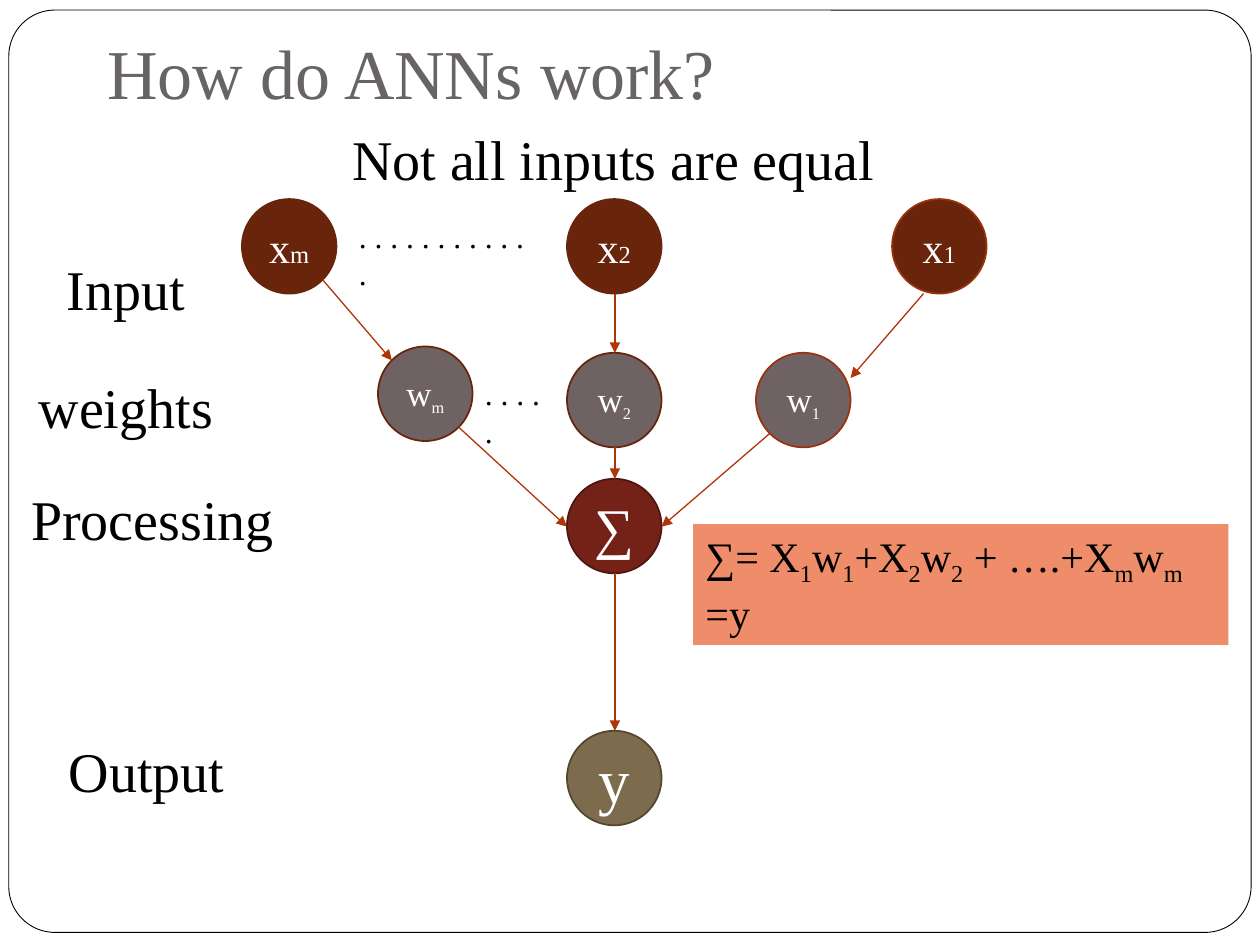
from dataclasses import dataclass

from lxml import etree
from pptx import Presentation
from pptx.dml.color import RGBColor
from pptx.enum.shapes import MSO_CONNECTOR, MSO_SHAPE
from pptx.enum.text import MSO_ANCHOR, MSO_AUTO_SIZE, PP_ALIGN
from pptx.oxml.ns import qn
from pptx.util import Pt

PX = 9144
LEFT, CENTER = PP_ALIGN.LEFT, PP_ALIGN.CENTER
TOP, MIDDLE, BOTTOM = MSO_ANCHOR.TOP, MSO_ANCHOR.MIDDLE, MSO_ANCHOR.BOTTOM
NO_FIT = MSO_AUTO_SIZE.NONE
OVAL, RECT, ROUND = MSO_SHAPE.OVAL, MSO_SHAPE.RECTANGLE, MSO_SHAPE.ROUNDED_RECTANGLE
STRAIGHT = MSO_CONNECTOR.STRAIGHT


@dataclass(frozen=True)
class Theme:
    font: str = "Times New Roman"
    ink: str = "000000"
    white: str = "FFFFFF"
    title: str = "696464"
    input: str = "69240C"
    rim: str = "9B320E"
    weight: str = "6E6263"
    sum: str = "742217"
    sum_rim: str = "4E1610"
    out: str = "7C6B4D"
    out_rim: str = "534733"
    panel: str = "EF8C6A"
    arrow: str = "AF3408"
    title_size: int = 40
    out_size: int = 36
    label_size: int = 32
    input_size: int = 24
    weight_size: int = 20
    dot_size: int = 18
    sub_size: int = 16
    index_size: int = 14


class Canvas:
    def __init__(self, slide, theme):
        self.slide = slide
        self.theme = theme

    def box(self, *sides):
        return [side * PX for side in sides]

    def text(self, shape, parts, color, align=LEFT, anchor=TOP, wrap=True):
        frame = shape.text_frame
        frame.word_wrap = wrap
        frame.auto_size = NO_FIT
        frame.vertical_anchor = anchor
        frame.margin_left = frame.margin_right = 10 * PX
        frame.margin_top = frame.margin_bottom = 5 * PX
        line = frame.paragraphs[0]
        line.alignment = align
        for words, size, lowered in parts:
            run = line.add_run()
            run.text = words
            run.font.name = self.theme.font
            run.font.size = Pt(size)
            run.font.color.rgb = RGBColor.from_string(color)
            if lowered:
                run._r.get_or_add_rPr().set("baseline", "-25000")

    def shape(self, kind, sides, fill=None, line=None, width=1):
        shape = self.slide.shapes.add_shape(kind, *self.box(*sides))
        shape.shadow.inherit = False
        if fill:
            shape.fill.solid()
            shape.fill.fore_color.rgb = RGBColor.from_string(fill)
        else:
            shape.fill.background()
        if line:
            shape.line.color.rgb = RGBColor.from_string(line)
            shape.line.width = Pt(width)
        else:
            shape.line.fill.background()
        return shape

    def title(self, words, sides):
        shape = self.slide.shapes.title
        shape.left, shape.top, shape.width, shape.height = self.box(*sides)
        theme = self.theme
        self.text(shape, [(words, theme.title_size, False)], theme.title, anchor=BOTTOM)
        shape.text_frame.margin_bottom = 10 * PX

    def frame(self, sides):
        shape = self.shape(ROUND, sides, line=self.theme.ink, width=0.5)
        shape.adjustments[0] = 0.05

    def label(self, words, sides, size, align=CENTER):
        shape = self.slide.shapes.add_textbox(*self.box(*sides))
        self.text(shape, [(words, size, False)], self.theme.ink, align)

    def node(self, left, top, parts, fill, rim):
        shape = self.shape(OVAL, (left, top, 75, 75), fill, rim)
        self.text(shape, parts, self.theme.white, CENTER, MIDDLE, wrap=False)

    def panel(self, parts, sides):
        shape = self.shape(RECT, sides, self.theme.panel)
        self.text(shape, parts, self.theme.ink)

    def arrow(self, *ends):
        link = self.slide.shapes.add_connector(STRAIGHT, *self.box(*ends))
        link.line.color.rgb = RGBColor.from_string(self.theme.arrow)
        link.line.width = Pt(0.75)
        props = link._element.spPr
        tail = etree.SubElement(props.find(qn("a:ln")), qn("a:tailEnd"))
        tail.set("type", "triangle")
        etree.SubElement(props, qn("a:effectLst"))


def main():
    deck = Presentation()
    deck.slide_width, deck.slide_height = 1000 * PX, 750 * PX
    theme = Theme()
    page = Canvas(deck.slides.add_slide(deck.slide_layouts[5]), theme)

    page.frame((7, 8, 986, 732))
    page.title("How do ANNs work?", (75, 0, 850, 100))

    for words, left, top, width in (
        ("Not all inputs are equal", 233, 94, 508),
        ("Input", 0, 197, 200),
        ("weights", 0, 291, 200),
        ("Processing", 0, 380, 242),
        ("Output", 0, 580, 233),
    ):
        page.label(words, (left, top, width, 64), theme.label_size)

    for index, x_left, w_left, w_top, rim in (
        ("1", 708, 600, 280, theme.rim),
        ("2", 450, 450, 280, theme.input),
        ("m", 192, 300, 275, theme.input),
    ):
        inputs = [("x", theme.input_size, False), (index, theme.index_size, False)]
        weights = [("w", theme.weight_size, False), (index, theme.sub_size, True)]
        page.node(x_left, 158, inputs, theme.input, rim)
        page.node(w_left, w_top, weights, theme.weight, rim)

    page.node(450, 380, [("∑", theme.label_size, False)], theme.sum, theme.sum_rim)
    page.node(450, 580, [("y", theme.out_size, False)], theme.out, theme.out_rim)

    terms = ("∑= X", "1", "w", "1", "+X", "2", "w", "2", " + ….+X", "m", "w", "m", " =y")
    parts = [(term, theme.input_size, spot % 2 == 1) for spot, term in enumerate(terms)]
    page.panel(parts, (550, 416, 425, 96))

    page.label(". . . . . . . . . . . .", (275, 167, 158, 70), theme.dot_size, LEFT)
    page.label(". . . . .", (375, 292, 75, 70), theme.dot_size, LEFT)

    for start, end in ((233, 280), (355, 380), (455, 580)):
        page.arrow(488, start, 488, end)
    for ends in (
        (256, 222, 311, 286),
        (733, 233, 675, 300),
        (611, 344, 525, 418),
        (364, 339, 450, 418),
    ):
        page.arrow(*ends)

    deck.save("out.pptx")


if __name__ == "__main__":
    main()
